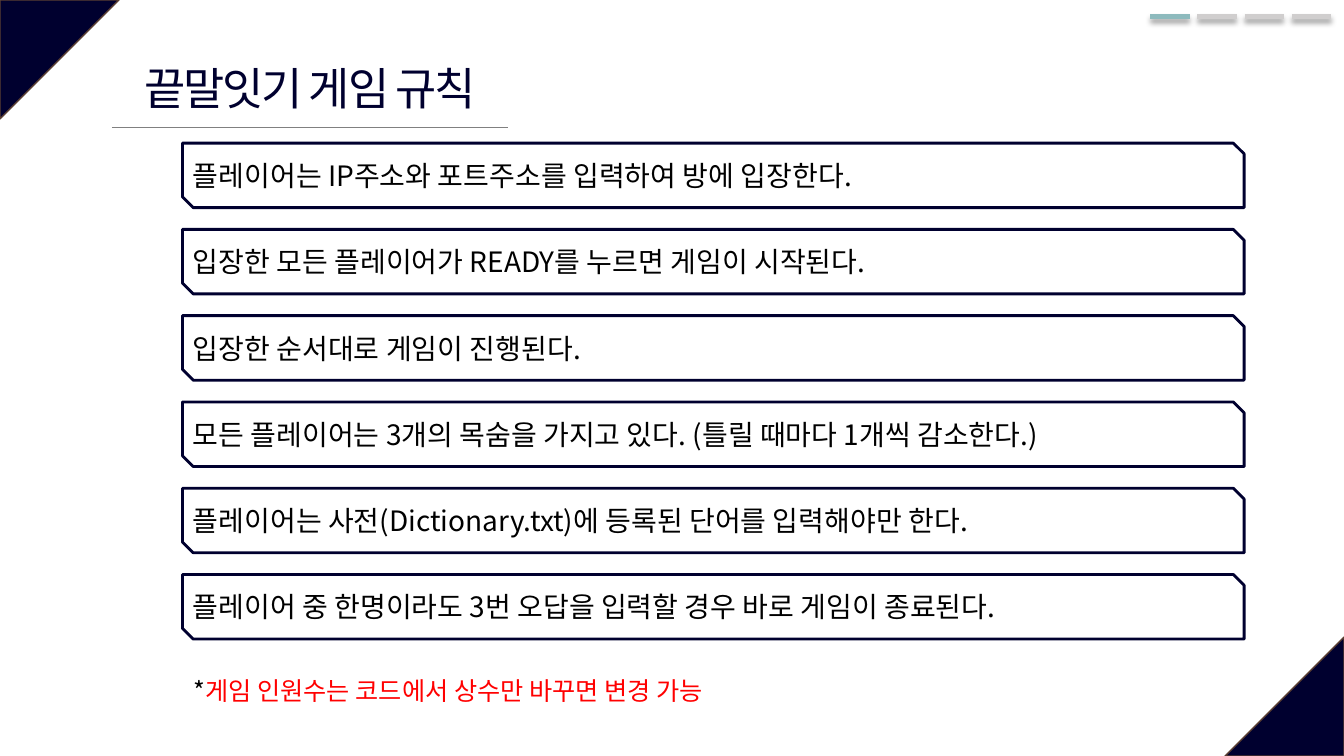
from lxml.etree import SubElement
from pptx import Presentation
from pptx.dml.color import RGBColor
from pptx.enum.shapes import MSO_CONNECTOR, MSO_SHAPE
from pptx.enum.text import MSO_ANCHOR, PP_ALIGN
from pptx.oxml import parse_xml
from pptx.oxml.ns import nsdecls, qn
from pptx.util import Inches, Pt

FONT = "Noto Sans CJK KR"
HEX = {"navy": "00002F", "brown": "5B3F33", "gray": "808080", "teal": "8DBABD",
       "pale": "D0CECE", "black": "000000", "red": "FF0000"}
RULES = [
    "플레이어는 IP주소와 포트주소를 입력하여 방에 입장한다.",
    "입장한 모든 플레이어가 READY를 누르면 게임이 시작된다.",
    "입장한 순서대로 게임이 진행된다.",
    "모든 플레이어는 3개의 목숨을 가지고 있다. (틀릴 때마다 1개씩 감소한다.)",
    "플레이어는 사전(Dictionary.txt)에 등록된 단어를 입력해야만 한다.",
    "플레이어 중 한명이라도 3번 오답을 입력할 경우 바로 게임이 종료된다.",
]


def add_run(para, text, size, color):
    run = para.add_run()
    run.text = text
    run.font.size = Pt(size)
    run.font.color.rgb = RGBColor.from_string(HEX[color])
    run.font.name = FONT
    SubElement(run.font._element, qn("a:ea"), typeface=FONT)
    return run


def add_line(left, right, top, color, width, effect=""):
    line = slide.shapes.add_connector(
        MSO_CONNECTOR.STRAIGHT, Inches(left), Inches(top), Inches(right), Inches(top))
    line.line.color.rgb = RGBColor.from_string(HEX[color])
    line.line.width = Pt(width)
    line._element.spPr.append(parse_xml(
        f"<a:effectLst {nsdecls('a')}>{effect}</a:effectLst>"))


deck = Presentation()
deck.slide_width, deck.slide_height = Inches(13.33), Inches(7.5)
slide = deck.slides.add_slide(deck.slide_layouts[5])

# Corner triangles
for left, top, turn in [(0, 0, 90), (12.15, 6.32, 270)]:
    corner = slide.shapes.add_shape(
        MSO_SHAPE.ISOSCELES_TRIANGLE, Inches(left), Inches(top), Inches(1.18), Inches(1.18))
    corner.adjustments[0] = 0
    corner.rotation = turn
    corner.shadow.inherit = False
    corner.fill.solid()
    corner.fill.fore_color.rgb = RGBColor.from_string(HEX["navy"])
    corner.line.color.rgb = RGBColor.from_string(HEX["brown"])
    corner.line.width = Pt(1)

# Title and its rule
add_line(1.11, 5.04, 1.26, "gray", 0.5)
title = slide.shapes.title
title.left, title.top = Inches(1.06), Inches(0.55)
title.width, title.height = Inches(4.03), Inches(0.64)
frame = title.text_frame
frame.word_wrap = False
frame.vertical_anchor = MSO_ANCHOR.MIDDLE
frame.paragraphs[0].alignment = PP_ALIGN.CENTER
head = add_run(frame.paragraphs[0], "끝말잇기 게임 규칙", 32, "navy")
head.font._element.set("spc", "-150")

# Progress marks
SHADOW = (f'<a:outerShdw blurRad="{Pt(4)}" dist="{Pt(3)}" dir="5400000" algn="t" '
          f'rotWithShape="0"><a:srgbClr val="{HEX["black"]}"><a:alpha val="40000"/>'
          '</a:srgbClr></a:outerShdw>')
for i in range(4):
    left = 11.41 + 0.467 * i
    add_line(left, left + 0.39, 0.16, "pale" if i else "teal", 3.5, SHADOW)

# Rule boxes
for i, rule in enumerate(RULES):
    box = slide.shapes.add_shape(
        MSO_SHAPE.SNIP_2_DIAG_RECTANGLE,
        Inches(1.81), Inches(1.42 + 4.28 * i / 5), Inches(10.53), Inches(0.64))
    box.shadow.inherit = False
    box.fill.background()
    box.line.color.rgb = RGBColor.from_string(HEX["navy"])
    box.line.width = Pt(2)
    frame = box.text_frame
    frame.margin_left = Inches(0.05)
    frame.margin_top = frame.margin_bottom = 0
    frame.vertical_anchor = MSO_ANCHOR.MIDDLE
    frame.paragraphs[0].alignment = PP_ALIGN.LEFT
    add_run(frame.paragraphs[0], rule, 20, "black")

# Footnote
note = slide.shapes.add_textbox(Inches(1.82), Inches(6.65), Inches(7.61), Inches(0.4))
note.text_frame.word_wrap = True
para = note.text_frame.paragraphs[0]
add_run(para, "*", 18, "black")
add_run(para, "게임 인원수는 코드에서 상수만 바꾸면 변경 가능", 18, "red")

deck.save("out.pptx")
